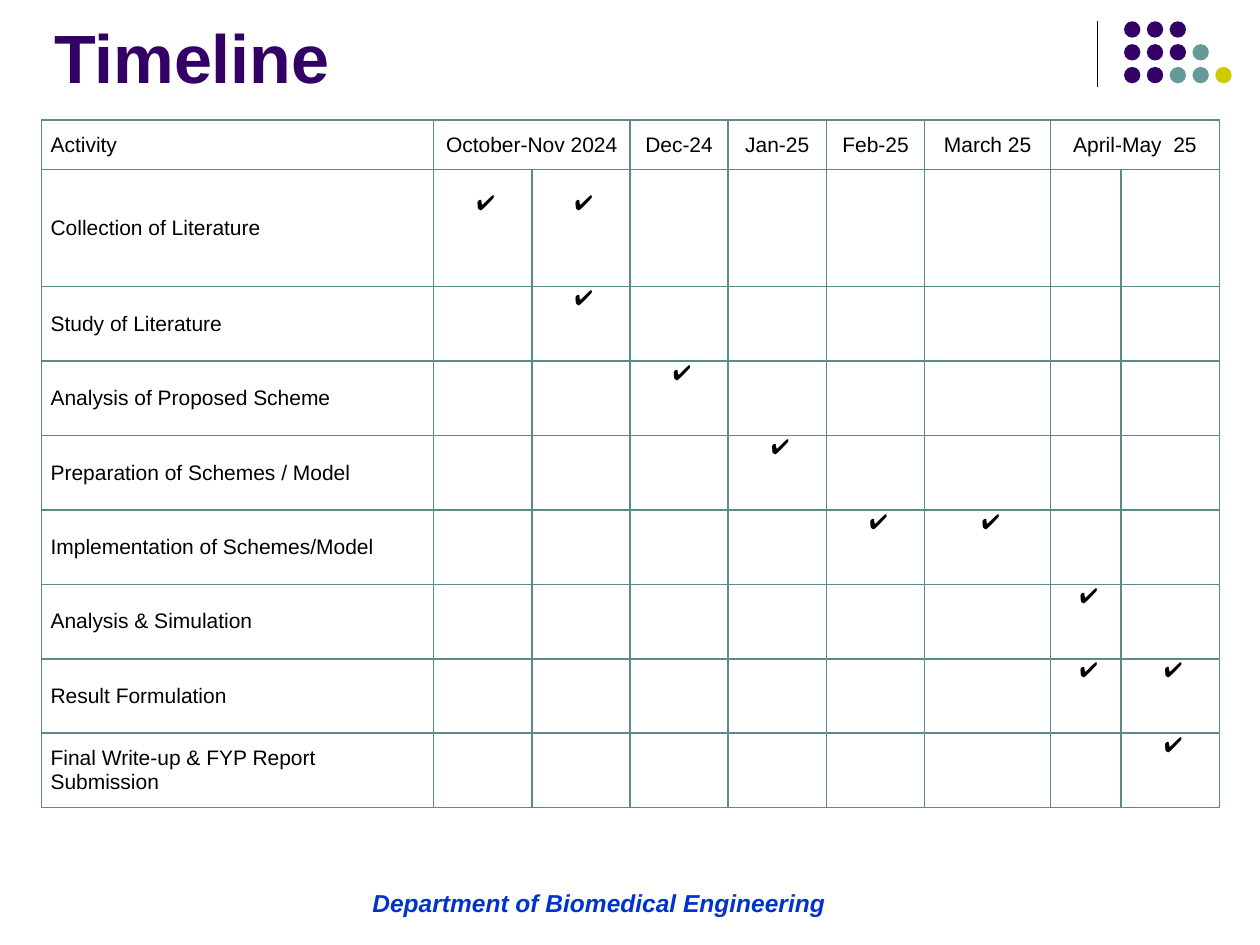
from lxml import etree
from pptx import Presentation
from pptx import util as u
from pptx.dml.color import RGBColor
from pptx.enum import shapes, text
from pptx.oxml import ns

PURPLE = RGBColor(0x33, 0x00, 0x66)
TEAL = RGBColor(0x66, 0x99, 0x99)
YELLOW = RGBColor(0xCC, 0xCC, 0x00)
BLUE = RGBColor(0x00, 0x33, 0xCC)
BLACK = RGBColor(0x00, 0x00, 0x00)
BORDER = RGBColor(0x5C, 0x8A, 0x8A)

LEFT = text.PP_ALIGN.LEFT
CENTER = text.PP_ALIGN.CENTER

DOT_ROWS = [
    [PURPLE] * 3,
    [PURPLE] * 3 + [TEAL],
    [PURPLE] * 2 + [TEAL] * 2 + [YELLOW],
]

COLUMN_WIDTHS = [7.9] + [1.98] * 5 + [2.54, 1.42, 1.98]
ROW_HEIGHTS = [1.0, 2.36] + [1.5] * 7
# Header text by first column and number of columns spanned
HEADERS = [
    ("Activity", 0, 1), ("October-Nov 2024", 1, 2), ("Dec-24", 3, 1),
    ("Jan-25", 4, 1), ("Feb-25", 5, 1), ("March 25", 6, 1),
    ("April-May  25", 7, 2),
]
# Activities with the columns that are ticked
ACTIVITIES = [
    ("Collection of Literature", [1, 2]),
    ("Study of Literature", [2]),
    ("Analysis of Proposed Scheme", [3]),
    ("Preparation of Schemes / Model", [4]),
    ("Implementation of Schemes/Model", [5, 6]),
    ("Analysis & Simulation", [7]),
    ("Result Formulation", [7, 8]),
    ("Final Write-up & FYP Report Submission", [8]),
]


def set_attributes(target, values):
    for name, value in values.items():
        setattr(target, name, value)


def write_text(frame, words, color, align, **font_values):
    paragraph = frame.paragraphs[0]
    paragraph.alignment = align
    run = paragraph.add_run()
    run.text = words
    set_attributes(run.font, {"name": "Arial", **font_values})
    run.font.color.rgb = color


def add_text_box(slide, box, words, color, align, **font_values):
    frame = slide.shapes.add_textbox(*map(u.Cm, box)).text_frame
    frame.word_wrap = True
    write_text(frame, words, color, align, **font_values)
    return frame


def add_dots(slide, left=22.66, top=0.43, pitch=0.46, size=0.33):
    for row, colors in enumerate(DOT_ROWS):
        for column, color in enumerate(colors):
            dot = slide.shapes.add_shape(
                shapes.MSO_SHAPE.OVAL, u.Cm(left + column * pitch),
                u.Cm(top + row * pitch), u.Cm(size), u.Cm(size))
            dot.shadow.inherit = False
            dot.fill.solid()
            dot.fill.fore_color.rgb = color
            dot.line.fill.background()


def add_vertical_rule(slide, x, top, bottom):
    rule = slide.shapes.add_connector(
        shapes.MSO_CONNECTOR.STRAIGHT, u.Cm(x), u.Cm(top), u.Cm(x), u.Cm(bottom))
    rule.line.color.rgb = BLACK
    rule.line.width = u.Pt(0.75)
    properties = rule._element.spPr
    etree.SubElement(properties, ns.qn("a:effectLst"))


def format_cell(cell):
    properties = cell._tc.get_or_add_tcPr()
    for side in ("lnL", "lnR", "lnT", "lnB"):
        line = etree.SubElement(properties, ns.qn(f"a:{side}"), w=str(u.Pt(1)))
        fill = etree.SubElement(line, ns.qn("a:solidFill"))
        etree.SubElement(fill, ns.qn("a:srgbClr"), val=str(BORDER))
    cell.fill.background()
    set_attributes(cell, {
        "margin_left": u.Cm(0.18), "margin_right": u.Cm(0.18),
        "margin_top": 0, "margin_bottom": 0,
        "vertical_anchor": text.MSO_ANCHOR.MIDDLE,
    })


def write_cell(cell, words, align):
    write_text(cell.text_frame, words, BLACK, align, size=u.Pt(12), bold=False)


def add_tick(cell, top_margin):
    set_attributes(cell, {
        "vertical_anchor": text.MSO_ANCHOR.TOP,
        "margin_left": u.Cm(0.3), "margin_top": u.Cm(top_margin),
    })
    write_cell(cell, "✔", CENTER)


def add_timeline(slide):
    table = slide.shapes.add_table(
        len(ROW_HEIGHTS), len(COLUMN_WIDTHS), u.Cm(0.84), u.Cm(2.42),
        u.Cm(sum(COLUMN_WIDTHS)), u.Cm(sum(ROW_HEIGHTS))).table
    set_attributes(table, {"first_row": False, "horz_banding": False})
    for column, width in zip(table.columns, COLUMN_WIDTHS):
        column.width = u.Cm(width)
    for row, height in zip(table.rows, ROW_HEIGHTS):
        row.height = u.Cm(height)
    for cell in table.iter_cells():
        format_cell(cell)

    # Header row
    for words, first, span in HEADERS:
        cell = table.cell(0, first)
        if span > 1:
            cell.merge(table.cell(0, first + span - 1))
        write_cell(cell, words, CENTER if first else LEFT)

    # Activity rows
    for row, (activity, ticks) in enumerate(ACTIVITIES, start=1):
        write_cell(table.cell(row, 0), activity, LEFT)
        for column in ticks:
            add_tick(table.cell(row, column), 0.43 if row == 1 else 0)


def main():
    presentation = Presentation()
    presentation.slide_width = u.Cm(25.4)
    presentation.slide_height = u.Cm(19.05)
    slide = presentation.slides.add_slide(presentation.slide_layouts[6])

    # Corner decoration
    add_vertical_rule(slide, 22.12, 0.43, 1.75)
    add_dots(slide)

    # Title
    title = add_text_box(slide, (0.84, 0.3, 20.96, 1.6), "Timeline", PURPLE, LEFT,
                         size=u.Pt(39), bold=True)
    title.margin_top = 0

    # Schedule
    add_timeline(slide)

    # Footer
    add_text_box(slide, (6.78, 17.78, 10.59, 0.84),
                 "Department of Biomedical Engineering", BLUE, CENTER,
                 size=u.Pt(14), bold=True, italic=True)

    presentation.save("out.pptx")


if __name__ == "__main__":
    main()
